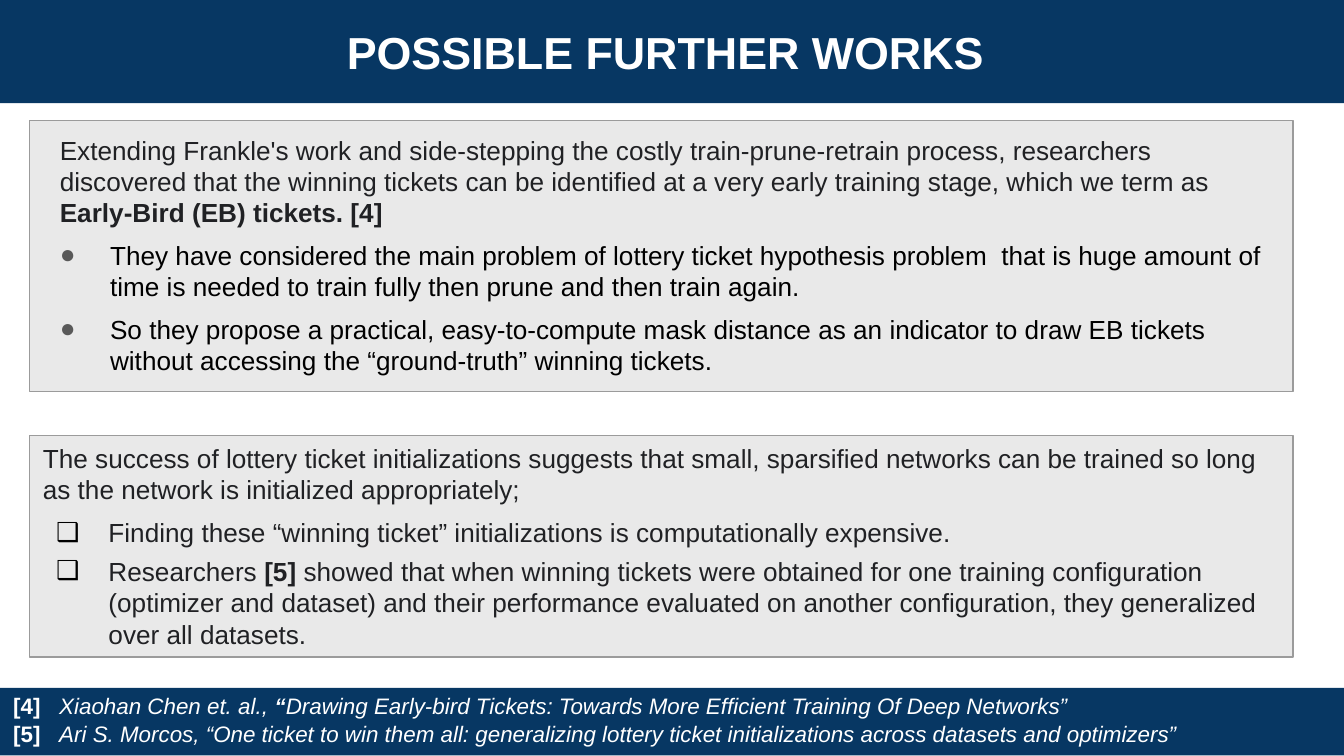
from dataclasses import dataclass

from lxml import etree
from pptx import Presentation
from pptx import util as u
from pptx.dml import color
from pptx.enum import shapes, text
from pptx.oxml import ns

Cm, Pt = u.Cm, u.Pt


@dataclass(frozen=True)
class Theme:
    """Colours, font and type sizes of the slide."""
    navy: str = "073763"
    panel: str = "E9E9E9"
    edge: str = "9B9B9B"
    white: str = "FFFFFF"
    ink: str = "202124"
    black: str = "000000"
    dot: str = "595959"
    font: str = "Arial"
    title: int = 24
    body: int = 14
    note: int = 12


T = Theme()

EARLY_BIRD = [
    dict(runs=[("Extending Frankle's work and side-stepping the costly train-prune-retrain process, "
                "researchers discovered that the winning tickets can be identified at a very early "
                "training stage, which we term as ", ""),
               ("Early-Bird (EB) tickets. [4]", "b")],
         left=0.32, after=6),
    dict(runs=[("They have considered the main problem of lottery ticket hypothesis problem  that is "
                "huge amount of time is needed to train fully then prune and then train again.", "")],
         left=1.27, hang=0.95, after=6, bullet=("●", T.dot), rgb=T.black),
    dict(runs=[("So they propose a practical, easy-to-compute mask distance as an indicator to draw "
                "EB tickets without accessing the “ground-truth” winning tickets.", "")],
         left=1.27, hang=0.95, after=16, bullet=("●", T.dot), rgb=T.black),
]
GENERALIZE = [
    dict(runs=[("The success of lottery ticket initializations suggests that small, sparsified networks "
                "can be trained so long as the network is initialized appropriately;", "")],
         after=6),
    dict(runs=[("Finding these “winning ticket” initializations is computationally expensive.", "")],
         left=1.24, hang=0.99, after=4, bullet=("❑", T.black)),
    dict(runs=[("Researchers ", ""), ("[5]", "b"),
               (" showed that when winning tickets were obtained for one training configuration "
                "(optimizer and dataset) and their performance evaluated on another configuration, "
                "they generalized over all datasets.", "")],
         left=1.24, hang=0.99, after=4, bullet=("❑", T.black)),
]
REFERENCES = [
    [("[4]\t", "b"), ("Xiaohan Chen et. al.,", "i"), (" “", "bi"),
     ("Drawing Early-bird Tickets: Towards More Efficient Training Of Deep Networks”", "i")],
    [("[5]\t", "b"),
     ("Ari S. Morcos, “One ticket to win them all: generalizing lottery ticket initializations "
      "across datasets and optimizers”", "i")],
]


def put(obj, **values):
    """Set each named attribute of an object."""
    for name, value in values.items():
        setattr(obj, name, value)


def place(sp, box):
    """Move a shape to a box of left, top, width and height in centimetres."""
    put(sp, **dict(zip(("left", "top", "width", "height"), map(Cm, box))))


def paint(sp, fill, edge=None):
    """Give a shape a solid fill and an optional thin outline."""
    sp.fill.solid()
    sp.fill.fore_color.rgb = color.RGBColor.from_string(fill)
    if edge:
        sp.line.color.rgb = color.RGBColor.from_string(edge)
        sp.line.width = Pt(0.75)
    else:
        sp.line.fill.background()


def frame(sp, x, y, right=None, anchor=text.MSO_ANCHOR.TOP):
    """Prepare a wrapping text frame with insets in centimetres."""
    tf = sp.text_frame
    put(tf, word_wrap=True, auto_size=text.MSO_AUTO_SIZE.NONE, vertical_anchor=anchor,
        margin_left=Cm(x), margin_right=Cm(right or x), margin_top=Cm(y), margin_bottom=Cm(y))
    return tf


def write(p, runs, size, rgb, left=0, hang=0, after=0, bullet=None, align=text.PP_ALIGN.LEFT):
    """Fill a paragraph with styled runs, indents and an optional bullet."""
    put(p, alignment=align, space_before=Pt(0), space_after=Pt(after))
    pPr = p._p.get_or_add_pPr()
    pPr.set("marL", str(Cm(left)))
    pPr.set("indent", str(-Cm(hang)))
    if bullet:
        char, tint = bullet
        clr = etree.SubElement(pPr, ns.qn("a:buClr"))
        etree.SubElement(clr, ns.qn("a:srgbClr"), val=tint)
        etree.SubElement(pPr, ns.qn("a:buFont"), typeface=T.font)
        etree.SubElement(pPr, ns.qn("a:buChar"), char=char)
    else:
        etree.SubElement(pPr, ns.qn("a:buNone"))
    for words, style in runs:
        r = p.add_run()
        r.text = words
        put(r.font, name=T.font, size=Pt(size), bold="b" in style, italic="i" in style)
        r.font.color.rgb = color.RGBColor.from_string(rgb)


def header(sp, box, words):
    """Turn the title placeholder into a banner."""
    place(sp, box)
    paint(sp, T.navy)
    tf = frame(sp, 0.25, 0.25, right=0.5, anchor=text.MSO_ANCHOR.MIDDLE)
    write(tf.paragraphs[0], [(words, "b")], T.title, T.white, align=text.PP_ALIGN.CENTER)


def panel(sp, box, items, inset):
    """Turn a body placeholder into a framed panel of paragraphs."""
    place(sp, box)
    paint(sp, T.panel, T.edge)
    tf = frame(sp, 0.25, inset)
    for i, item in enumerate(items):
        p = tf.add_paragraph() if i else tf.paragraphs[0]
        write(p, **{"size": T.body, "rgb": T.ink, **item})


def footer(s, box, references):
    """Draw the bottom bar with one line for each reference."""
    x, y, w, _ = box
    bar = s.shapes.add_shape(shapes.MSO_SHAPE.RECTANGLE, *map(Cm, box))
    bar.shadow.inherit = False
    paint(bar, T.navy)
    for i, runs in enumerate(references):
        sp = s.shapes.add_textbox(*map(Cm, (x, y - 0.05 + 0.54 * i, w - 1.2, 0.76)))
        write(frame(sp, 0.25, 0.13).paragraphs[0], runs, T.note, T.white, left=0.87, hang=0.87)


def main():
    """Build and save the slide."""
    prs = Presentation()
    width = Cm(25.4)
    put(prs, slide_width=width, slide_height=width * 9 // 16)
    s = prs.slides.add_slide(prs.slide_layouts[3])
    title, upper, lower = s.placeholders
    header(title, (0, 0, 25.4, 1.95), "POSSIBLE FURTHER WORKS")
    panel(upper, (0.56, 2.28, 23.88, 5.12), EARLY_BIRD, 0.25)
    panel(lower, (0.56, 8.23, 23.88, 4.19), GENERALIZE, 0.13)
    footer(s, (0, 13, 25.4, 1.28), REFERENCES)
    prs.save("out.pptx")


if __name__ == "__main__":
    main()
